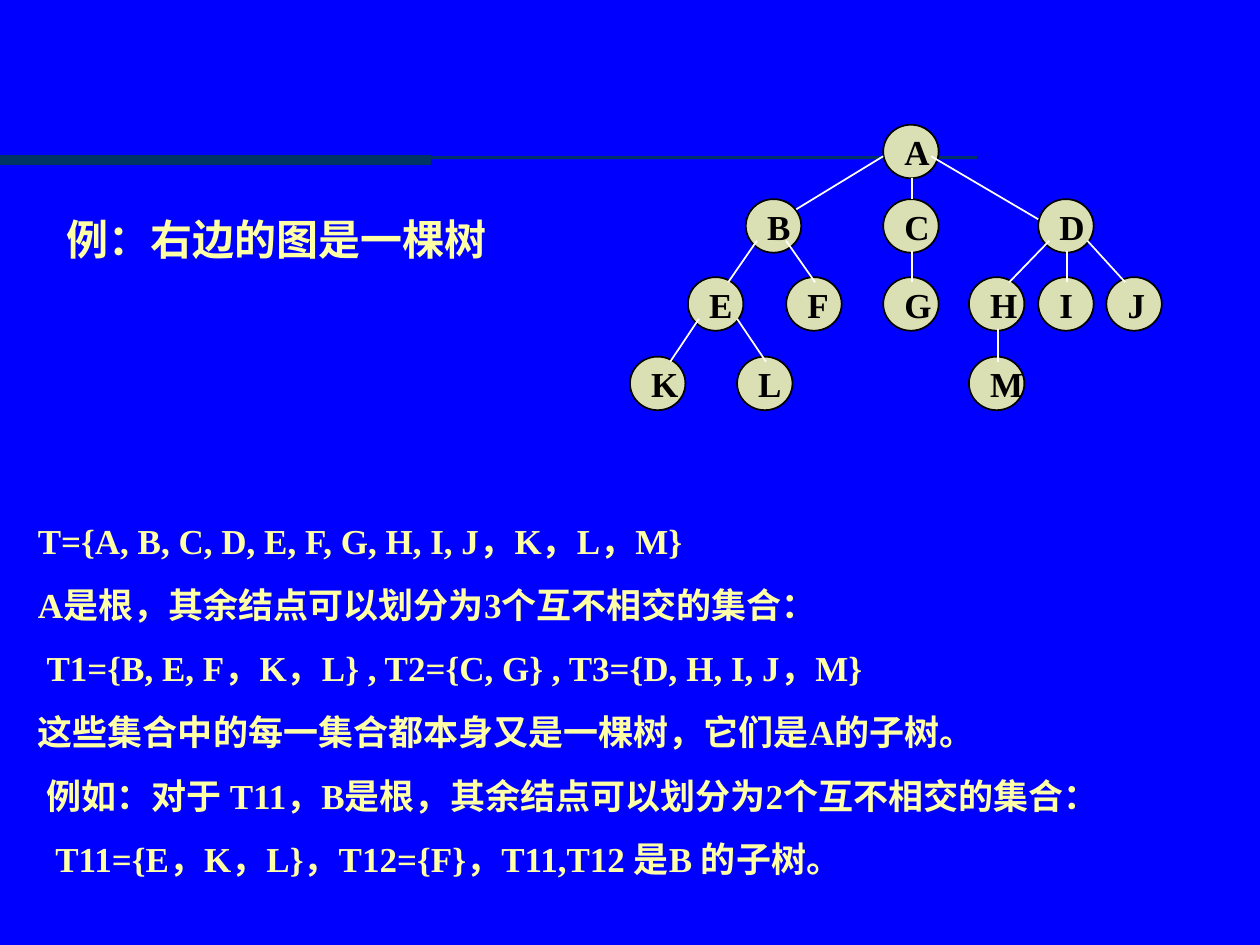
from lxml.etree import SubElement
from pptx import Presentation
from pptx.dml.color import RGBColor
from pptx.enum.shapes import MSO_CONNECTOR, MSO_SHAPE
from pptx.enum.text import MSO_ANCHOR, MSO_AUTO_SIZE, PP_ALIGN
from pptx.oxml.ns import qn
from pptx.util import Pt

COLORS = {"background": "0000FF", "rule": "003366", "text": "FFFFA5",
          "node": "DBE0B4", "outline": "000000", "edge": "FFFFFF"}
LATIN, CHINESE = "Times New Roman", "Noto Sans CJK SC"

TITLE = "例：右边的图是一棵树"
STATEMENTS = [
    ("T={A, B, C, D, E, F, G, H, I, J，K，L，M}", 0),
    ("A是根，其余结点可以划分为3个互不相交的集合：", 0),
    ("T1={B, E, F，K，L} , T2={C, G} , T3={D, H, I, J，M}", 5),
    ("这些集合中的每一集合都本身又是一棵树，它们是A的子树。", 0),
    ("例如：对于 T11，B是根，其余结点可以划分为2个互不相交的集合：", 5),
    ("T11={E，K，L}，T12={F}，T11,T12 是B 的子树。", 10),
]
RULES = [((558, 90), (0, 90), 1.5), ((0, 91.4), (246.2, 91.4), 6)]
LEVELS = [
    (71.3, {"A": 504.7}),
    (113.8, {"B": 426.2, "C": 504.7, "D": 593.3}),
    (158.4, {"E": 393.1, "F": 449.3, "G": 504.7, "H": 553.7, "I": 593.3, "J": 632.2}),
    (203.8, {"K": 360, "L": 421.2, "M": 553.7}),
]
EDGES = [
    (["AB"], (0, 18), (28.8, 5.8)),
    (["AC"], (16.5, 30.2), (16.5, 0)),
    (["AD"], (27.4, 18), (0, 11.5)),
    (["BE", "DH", "EK"], (6.3, 23.8), (23, 2.9)),
    (["CG", "DI", "HM"], (16.5, 29.5), (16.5, 2.9)),
    (["BF"], (23, 23.8), (16.5, 2.9)),
    (["EL"], (28.1, 23.8), (16.5, 2.9)),
    (["DJ"], (28.1, 23.8), (10.8, 2.9)),
]
NODE_SIZE = (31.7, 30.6)
LABEL_SIZE, LABEL_SHIFT = (32.4, 31.7), 5


def rgb(name):
    return RGBColor.from_string(COLORS[name])


def set_attributes(target, values):
    for name, value in values.items():
        setattr(target, name, value)


def place(shape, left, top, width, height):
    set_attributes(shape, {"left": Pt(left), "top": Pt(top),
                           "width": Pt(width), "height": Pt(height)})


def write(shape, lines, size, color, latin=LATIN, line_height=None):
    frame = shape.text_frame
    set_attributes(frame, {
        "word_wrap": True, "auto_size": MSO_AUTO_SIZE.NONE,
        "vertical_anchor": MSO_ANCHOR.TOP,
        "margin_left": Pt(7.2), "margin_right": Pt(7.2),
        "margin_top": Pt(3.6), "margin_bottom": Pt(3.6)})
    for index, (text, indent) in enumerate(lines):
        paragraph = frame.add_paragraph() if index else frame.paragraphs[0]
        properties = paragraph._p.get_or_add_pPr()
        properties.set("marL", str(Pt(indent)))
        properties.set("indent", "0")
        SubElement(properties, qn("a:buNone"))
        set_attributes(paragraph, {
            "alignment": PP_ALIGN.LEFT,
            "space_before": Pt(12.5 if index else 0), "space_after": Pt(0),
            "line_spacing": Pt(line_height) if line_height else 1.0})
        run = paragraph.add_run()
        run.text = text
        set_attributes(run.font, {"name": latin, "size": Pt(size), "bold": True})
        run.font.color.rgb = rgb(color)
        SubElement(run._r.get_or_add_rPr(), qn("a:ea")).set("typeface", CHINESE)


def draw_line(slide, start, end, color, width):
    line = slide.shapes.add_connector(
        MSO_CONNECTOR.STRAIGHT, *(Pt(value) for value in (*start, *end)))
    line.line.color.rgb = rgb(color)
    line.line.width = Pt(width)
    SubElement(line._element.spPr, qn("a:effectLst"))


def draw_node(slide, name, left, top):
    circle = slide.shapes.add_shape(MSO_SHAPE.OVAL, 0, 0, 0, 0)
    place(circle, left, top, *NODE_SIZE)
    circle.shadow.inherit = False
    circle.fill.solid()
    circle.fill.fore_color.rgb = rgb("node")
    circle.line.color.rgb = rgb("outline")
    circle.line.width = Pt(1)
    label = slide.shapes.add_textbox(0, 0, 0, 0)
    place(label, left + LABEL_SHIFT, top, *LABEL_SIZE)
    write(label, [(name, 0)], 20, "outline")


def main():
    """Build the slide that explains a tree and its subtrees."""
    presentation = Presentation()
    set_attributes(presentation, {"slide_width": Pt(720), "slide_height": Pt(540)})
    slide = presentation.slides.add_slide(presentation.slide_layouts[1])
    slide.background.fill.solid()
    slide.background.fill.fore_color.rgb = rgb("background")

    title, body = slide.placeholders
    place(title, 31, 118.6, 262, 36)
    write(title, [(TITLE, 0)], 24, "text", CHINESE, 28.8)
    place(body, 14.4, 293.3, 705.6, 213.8)
    write(body, STATEMENTS, 20, "text", line_height=23.9)

    for start, end, width in RULES:
        draw_line(slide, start, end, "rule", width)

    positions = {name: (left, top) for top, nodes in LEVELS
                 for name, left in nodes.items()}
    for name, (left, top) in positions.items():
        draw_node(slide, name, left, top)
    for pairs, *offsets in EDGES:
        for pair in pairs:
            start, end = [(positions[name][0] + across, positions[name][1] + down)
                          for name, (across, down) in zip(pair, offsets)]
            draw_line(slide, start, end, "edge", 1)

    presentation.save("out.pptx")


if __name__ == "__main__":
    main()
